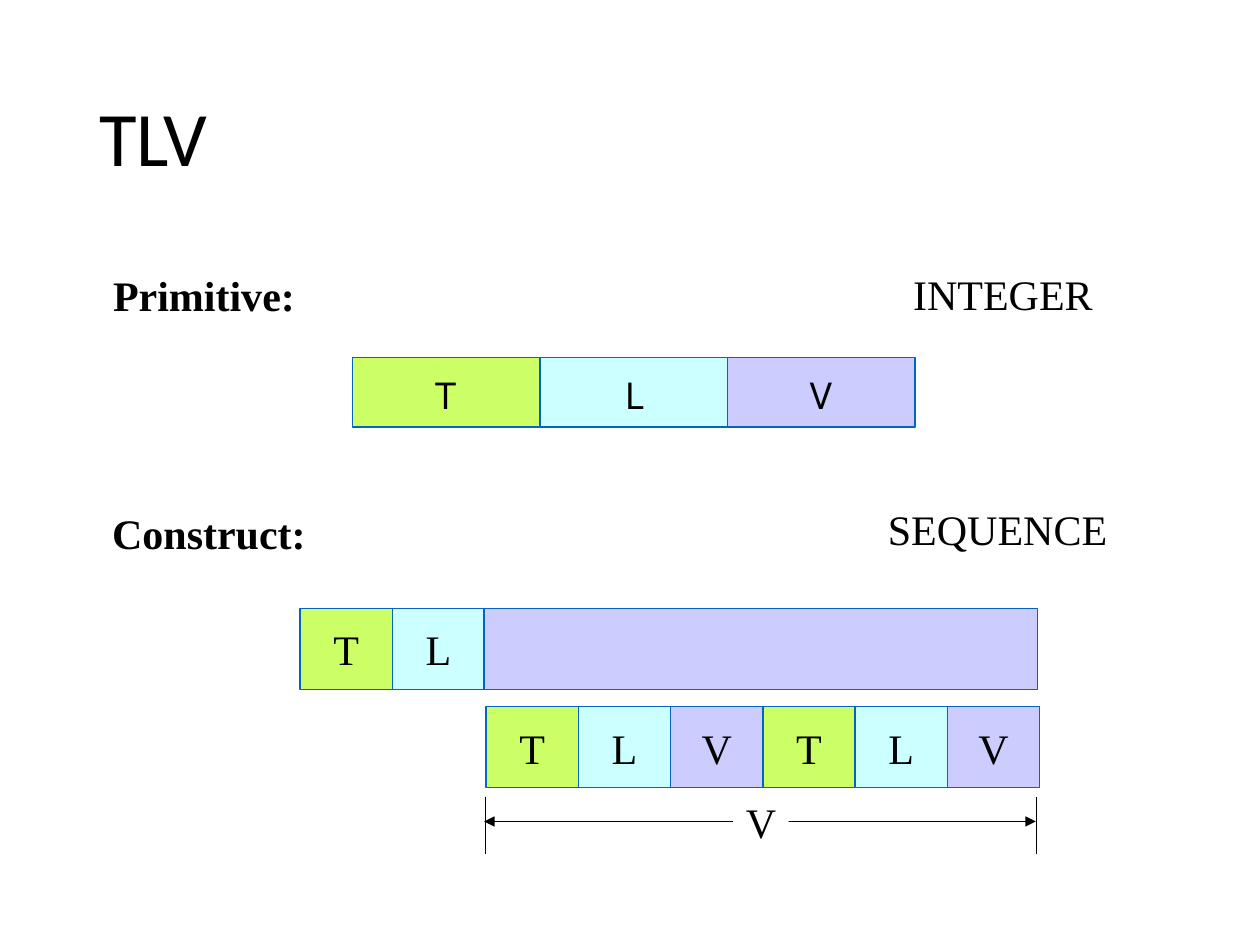
from lxml.etree import SubElement
from pptx import Presentation
from pptx.dml.color import RGBColor
from pptx.enum.shapes import MSO_CONNECTOR as Connector, MSO_SHAPE as Shape
from pptx.enum.text import MSO_ANCHOR as Anchor, MSO_AUTO_SIZE as AutoSize, PP_ALIGN as Align
from pptx.oxml.ns import qn
from pptx.util import Cm, Pt

BLACK = RGBColor(0x00, 0x00, 0x00)
WHITE = RGBColor(0xFF, 0xFF, 0xFF)
BORDER = RGBColor(0x05, 0x63, 0xC1)
FIELD_COLOURS = {
    "T": RGBColor(0xCC, 0xFF, 0x66),
    "L": RGBColor(0xCC, 0xFF, 0xFF),
    "V": RGBColor(0xCC, 0xCC, 0xFF),
}
SERIF = "Times New Roman"


class TlvSlide:
    """Draws the parts of a tag-length-value slide in one shared style."""

    def __init__(self, slide):
        self.slide = slide
        self.shapes = slide.shapes
        self.size = Pt(24)
        self.stroke = Pt(0.75)

    def add_text(self, frame, text, font=SERIF, size=None, bold=False, align=Align.LEFT):
        paragraph = frame.paragraphs[0]
        paragraph.alignment = align
        run = paragraph.add_run()
        run.text = text
        run.font.name = font
        run.font.size = size or self.size
        run.font.bold = bold
        run.font.color.rgb = BLACK
        return paragraph

    def title(self, text, left, top, width, height):
        title = self.shapes.title
        title.left, title.top, title.width, title.height = map(Cm, (left, top, width, height))
        title.text_frame.vertical_anchor = Anchor.MIDDLE
        self.add_text(title.text_frame, text, "Calibri", Pt(44)).line_spacing = 0.9

    def label(self, text, left, top, width, bold=False, align=Align.LEFT, fill=None):
        label = self.shapes.add_textbox(*map(Cm, (left, top, width, 1.27)))
        label.text_frame.word_wrap = False
        label.text_frame.auto_size = AutoSize.SHAPE_TO_FIT_TEXT
        if fill is not None:
            label.fill.solid()
            label.fill.fore_color.rgb = fill
        self.add_text(label.text_frame, text, bold=bold, align=align)

    def field(self, kind, text, left, top, width, height, font=SERIF):
        field = self.shapes.add_shape(Shape.RECTANGLE, *map(Cm, (left, top, width, height)))
        field.shadow.inherit = False
        field.fill.solid()
        field.fill.fore_color.rgb = FIELD_COLOURS[kind]
        field.line.color.rgb = BORDER
        field.line.width = self.stroke
        if text:
            field.text_frame.word_wrap = False
            field.text_frame.vertical_anchor = Anchor.MIDDLE
            self.add_text(field.text_frame, text, font, align=Align.CENTER)

    def fields(self, kinds, left, top, width, height, font=SERIF):
        for index, kind in enumerate(kinds):
            self.field(kind, kind, left + index * width, top, width, height, font)

    def line(self, x1, y1, x2, y2, arrows=False):
        line = self.shapes.add_connector(Connector.STRAIGHT, *map(Cm, (x1, y1, x2, y2)))
        line.line.color.rgb = BLACK
        line.line.width = self.stroke
        properties = line.element.spPr
        if arrows:
            outline = properties.find(qn("a:ln"))
            for end in ("a:headEnd", "a:tailEnd"):
                SubElement(outline, qn(end), type="triangle")
        SubElement(properties, qn("a:effectLst"))


def main():
    deck = Presentation()
    deck.slide_width, deck.slide_height = Cm(25.4), Cm(19.05)
    tlv = TlvSlide(deck.slides.add_slide(deck.slide_layouts[5]))

    tlv.title("TLV", 1.75, 1.02, 21.9, 3.68)

    tlv.fields("TLV", 7.11, 7.21, 3.78, 1.4, "Karla")
    tlv.label("Primitive:", 2.03, 5.31, 4.6, bold=True)
    tlv.label("Construct:", 2.01, 10.11, 4.85, bold=True)
    tlv.label("INTEGER", 18.16, 5.28, 4.14)
    tlv.label("SEQUENCE", 17.65, 10.03, 4.93)

    tlv.fields("TL", 6.05, 12.27, 1.86, 1.63)
    tlv.field("V", "", 9.76, 12.27, 11.15, 1.63)
    tlv.fields("TLVTLV", 9.8, 14.25, 1.86, 1.63)

    for limit in (9.78, 20.9):
        tlv.line(limit, 16.06, limit, 17.21)
    tlv.line(9.76, 16.56, 20.88, 16.56, arrows=True)
    tlv.label("V", 14.78, 15.93, 1.12, align=Align.CENTER, fill=WHITE)

    deck.save("out.pptx")


if __name__ == "__main__":
    main()
